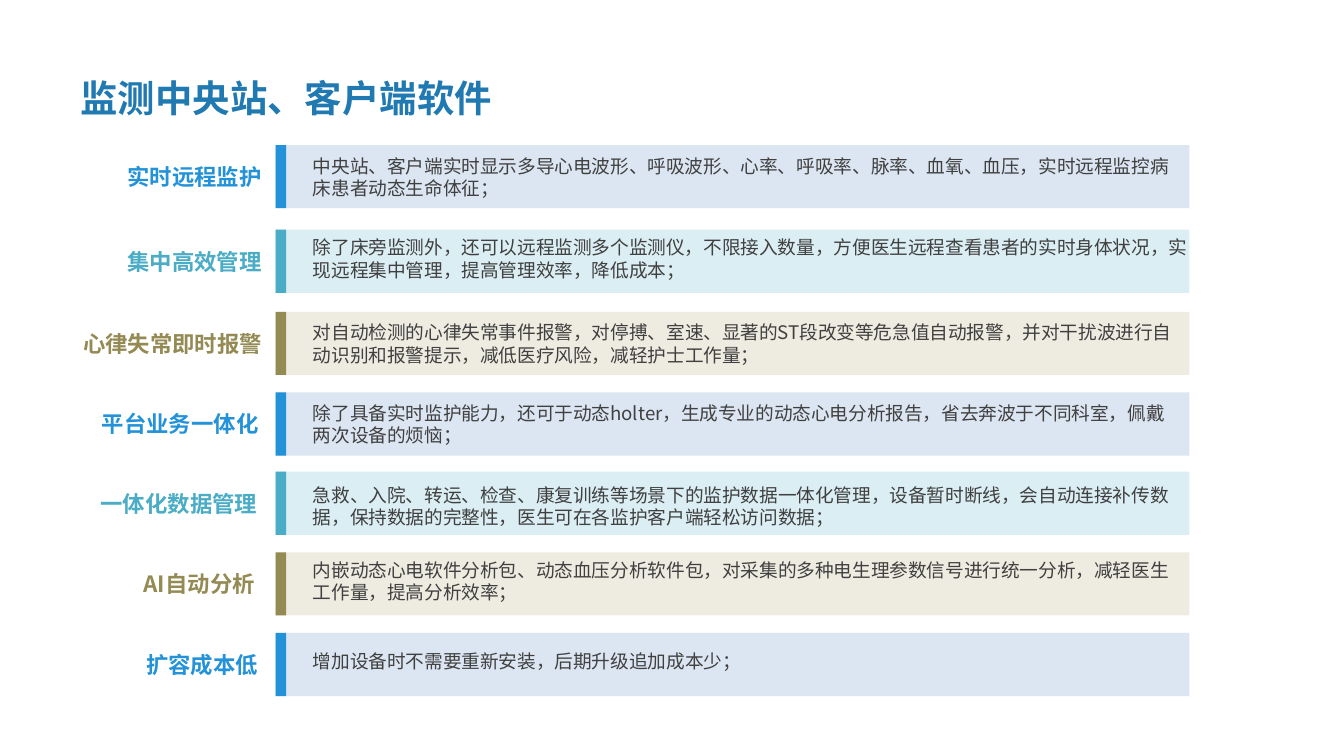
from lxml.etree import SubElement
from pptx import Presentation
from pptx.dml.color import RGBColor
from pptx.enum.shapes import MSO_SHAPE as SHAPE
from pptx.enum.text import MSO_ANCHOR as ANCHOR, MSO_AUTO_SIZE as AUTO, PP_ALIGN as ALIGN
from pptx.oxml.ns import qn
from pptx.util import Inches, Pt

FONT = "Noto Sans CJK SC"
TITLE_BLUE = RGBColor(0x21, 0x79, 0xB1)
BLUE = RGBColor(0x24, 0x92, 0xD8)
TEAL = RGBColor(0x4B, 0xAC, 0xC6)
OLIVE = RGBColor(0x94, 0x8A, 0x54)
PALE_BLUE = RGBColor(0xDC, 0xE6, 0xF2)
PALE_TEAL = RGBColor(0xDB, 0xEE, 0xF4)
PALE_OLIVE = RGBColor(0xEE, 0xEC, 0xE1)
GREY = RGBColor(0x40, 0x40, 0x40)

THEMES = [(BLUE, PALE_BLUE), (TEAL, PALE_TEAL), (OLIVE, PALE_OLIVE)]
BAND_LEFT, BAND_WIDTH, BAND_HEIGHT = 2.05, 6.8, 0.47
LABEL_RIGHT, DETAIL_LEFT = 2.13, 2.23

# top, label left, label, detail top, detail width, detail
FEATURES = [
    (1.08, 0.85, "实时远程监护", 1.1, 6.67,
     "中央站、客户端实时显示多导心电波形、呼吸波形、心率、呼吸率、脉率、血氧、血压，实时远程监控病床患者动态生命体征；"),
    (1.71, 0.85, "集中高效管理", 1.71, 6.76,
     "除了床旁监测外，还可以远程监测多个监测仪，不限接入数量，方便医生远程查看患者的实时身体状况，实现远程集中管理，提高管理效率，降低成本；"),
    (2.32, 0.52, "心律失常即时报警", 2.34, 6.68,
     "对自动检测的心律失常事件报警，对停搏、室速、显著的ST段改变等危急值自动报警，并对干扰波进行自动识别和报警提示，减低医疗风险，减轻护士工作量；"),
    (2.92, 0.66, "平台业务一体化", 2.94, 6.62,
     "除了具备实时监护能力，还可于动态holter，生成专业的动态心电分析报告，省去奔波于不同科室，佩戴两次设备的烦恼；"),
    (3.51, 0.65, "一体化数据管理", 3.55, 6.62,
     "急救、入院、转运、检查、康复训练等场景下的监护数据一体化管理，设备暂时断线，会自动连接补传数据，保持数据的完整性，医生可在各监护客户端轻松访问数据；"),
    (4.11, 0.97, "AI自动分析", 4.11, 6.68,
     "内嵌动态心电软件分析包、动态血压分析软件包，对采集的多种电生理参数信号进行统一分析，减轻医生工作量，提高分析效率；"),
    (4.71, 0.99, "扩容成本低", 4.79, 6.62,
     "增加设备时不需要重新安装，后期升级追加成本少；"),
]


def write(tf, text, size=10, color=GREY, bold=False, anchor=ANCHOR.TOP, spacing=None):
    tf.word_wrap = True
    tf.auto_size = AUTO.NONE
    tf.vertical_anchor = anchor
    p = tf.paragraphs[0]
    p.alignment = ALIGN.LEFT
    if spacing:
        p.line_spacing = Pt(spacing)
    r = p.add_run()
    r.text = text
    r.font.size = Pt(size)
    r.font.bold = bold
    r.font.color.rgb = color
    r.font.name = FONT
    SubElement(r.font._element, qn("a:ea")).set("typeface", FONT)


class FeatureSlide:
    def __init__(self, prs):
        self.s = prs.slides.add_slide(prs.slide_layouts[5])

    def title(self, text):
        sp = self.s.shapes.title
        sp.left, sp.top = Inches(0.5), Inches(0)
        sp.width, sp.height = Inches(8.56), Inches(0.94)
        write(sp.text_frame, text, size=20, color=TITLE_BLUE, bold=True,
              anchor=ANCHOR.MIDDLE, spacing=60.8)

    def shape(self, group, kind, left, top, width, fill=None):
        sp = group.shapes.add_shape(kind, Inches(left), Inches(top),
                                    Inches(width), Inches(BAND_HEIGHT))
        sp.shadow.inherit = False
        sp.line.fill.background()
        if fill is None:
            sp.fill.background()
        else:
            sp.fill.solid()
            sp.fill.fore_color.rgb = fill
        return sp

    def label(self, group, left, top, text, color):
        sp = self.shape(group, SHAPE.PENTAGON, left, top, LABEL_RIGHT - left)
        sp.adjustments[0] = 0
        write(sp.text_frame, text, size=12, color=color, bold=True, anchor=ANCHOR.MIDDLE)

    def detail(self, group, top, width, text):
        sp = group.shapes.add_textbox(Inches(DETAIL_LEFT), Inches(top),
                                      Inches(width), Inches(0.44))
        write(sp.text_frame, text, spacing=12)

    def feature(self, theme, top, label_left, label, detail_top, detail_width, detail):
        strong, pale = theme
        group = self.s.shapes.add_group_shape()
        self.shape(group, SHAPE.RECTANGLE, BAND_LEFT, top, BAND_WIDTH, pale)
        self.label(group, label_left, top, label, strong)
        self.detail(group, detail_top, detail_width, detail)
        self.shape(group, SHAPE.RECTANGLE, BAND_LEFT, top, 0.08, strong)


def main():
    prs = Presentation()
    prs.slide_width = Inches(10)
    prs.slide_height = Inches(10 * 9 / 16)
    slide = FeatureSlide(prs)
    slide.title("监测中央站、客户端软件")
    for i, row in enumerate(FEATURES):
        slide.feature(THEMES[i % len(THEMES)], *row)
    prs.save("out.pptx")


if __name__ == "__main__":
    main()
